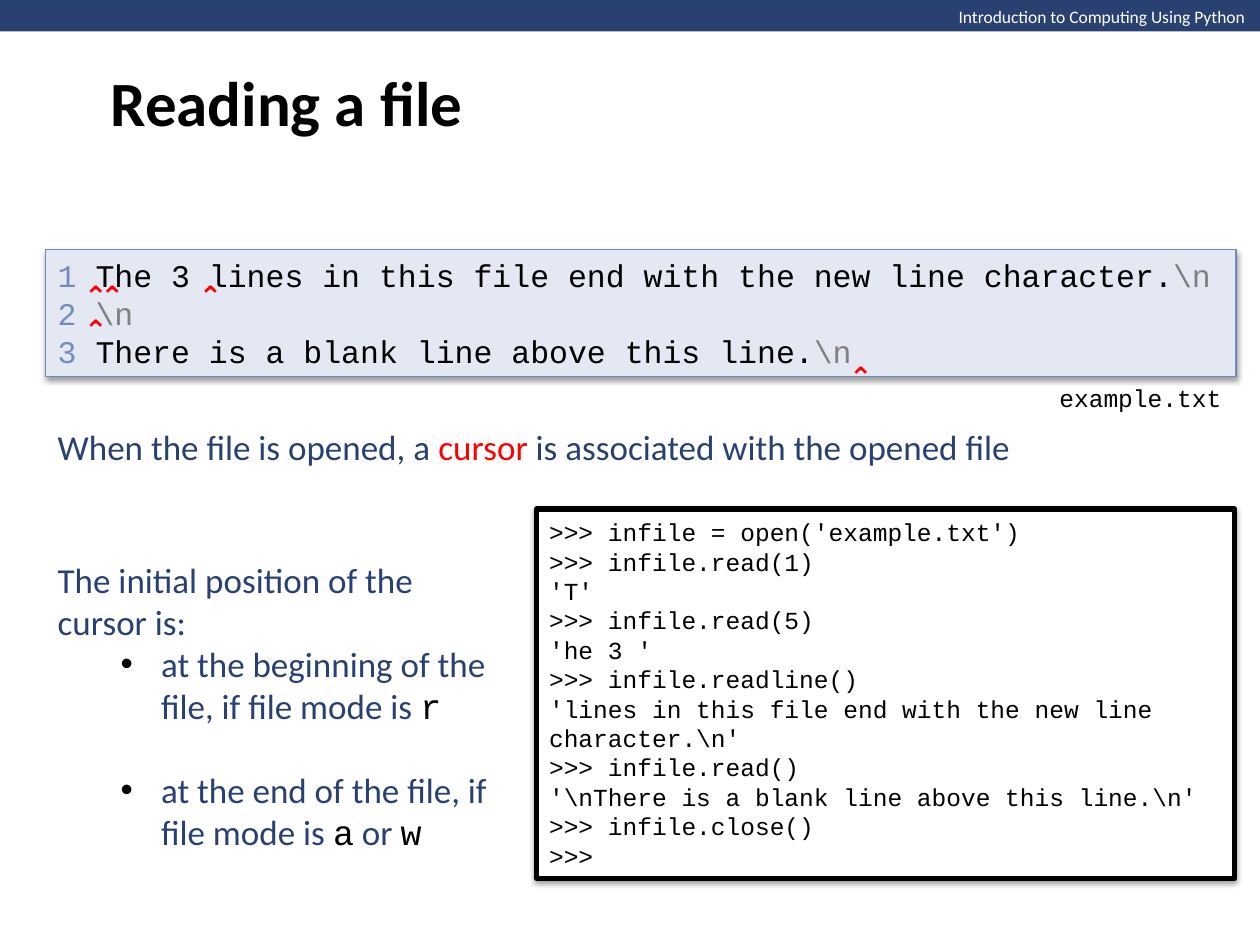
from dataclasses import dataclass

from lxml.etree import SubElement
from pptx import Presentation
from pptx.dml.color import RGBColor
from pptx.enum.shapes import MSO_SHAPE
from pptx.enum.text import MSO_ANCHOR, PP_ALIGN
from pptx.oxml.ns import qn
from pptx.util import Inches, Pt


@dataclass(frozen=True)
class Theme:
    navy: str = "294171"
    pale: str = "E3E8F2"
    edge: str = "7088BA"
    line_number: str = "748CBC"
    gray: str = "808080"
    red: str = "FF0000"
    black: str = "000000"
    white: str = "FFFFFF"
    sans: str = "Calibri"
    mono: str = "Courier New"
    symbol: str = "Open Sans"
    title: int = 36
    body: int = 20
    listing: int = 18
    caret: int = 16
    code: int = 14
    header: int = 10


class SlideBuilder:
    """Places elements on a grid of 100 columns by 75 rows."""

    COLUMNS, ROWS = 100, 75

    def __init__(self, presentation, theme):
        self.theme = theme
        self.column = presentation.slide_width / self.COLUMNS
        self.row = presentation.slide_height / self.ROWS
        self.slide = presentation.slides.add_slide(presentation.slide_layouts[6])

    def area(self, left, top, width, height):
        return (round(left * self.column), round(top * self.row),
                round(width * self.column), round(height * self.row))

    def box(self, area, fill, line=None, line_width=0):
        rectangle = self.slide.shapes.add_shape(MSO_SHAPE.RECTANGLE, *self.area(*area))
        rectangle.shadow.inherit = False
        rectangle.fill.solid()
        rectangle.fill.fore_color.rgb = RGBColor.from_string(fill)
        if line:
            rectangle.line.color.rgb = RGBColor.from_string(line)
            rectangle.line.width = Pt(line_width)
        else:
            rectangle.line.fill.background()
        return rectangle

    def panel(self, area, fill, line, line_width, paragraphs, size):
        """Add a shadowed box of monospaced text."""
        panel = self.box(area, fill, line, line_width)
        effects = panel.element.spPr.find(qn("a:effectLst"))
        shadow = SubElement(effects, qn("a:outerShdw"), blurRad=str(Pt(3.1)),
                            dist=str(Pt(1.6)), dir="5400000", rotWithShape="0")
        color = SubElement(shadow, qn("a:srgbClr"), val=self.theme.black)
        SubElement(color, qn("a:alpha"), val="38000")
        self.set_text(panel.text_frame, paragraphs, self.theme.mono, size, self.theme.black)

    def text(self, area, paragraphs, font, size, color, bold=False, wrap=True,
             anchor=MSO_ANCHOR.MIDDLE):
        frame = self.slide.shapes.add_textbox(*self.area(*area)).text_frame
        self.set_text(frame, paragraphs, font, size, color, bold, wrap, anchor)
        return frame

    def set_text(self, frame, paragraphs, font, size, color, bold=False, wrap=True,
                 anchor=MSO_ANCHOR.MIDDLE):
        """Fill a frame; each paragraph is a list of (text, font and colour changes)."""
        frame.word_wrap = wrap
        frame.vertical_anchor = anchor
        frame.text = "\n".join("" for _ in paragraphs)
        for paragraph, pieces in zip(frame.paragraphs, paragraphs):
            paragraph.alignment = PP_ALIGN.LEFT
            for wording, changes in pieces:
                run = paragraph.add_run()
                run.text = wording
                run.font.name = changes.get("font", font)
                run.font.size = Pt(size)
                run.font.bold = bold
                run.font.color.rgb = RGBColor.from_string(changes.get("color", color))

    def bullet(self, paragraph):
        properties = paragraph._p.get_or_add_pPr()
        properties.set("lvl", "1")
        properties.set("marL", str(Inches(0.82)))
        properties.set("indent", str(Inches(-0.32)))
        bullet_color = SubElement(properties, qn("a:buClr"))
        SubElement(bullet_color, qn("a:srgbClr"), val=self.theme.black)
        SubElement(properties, qn("a:buFont"), typeface="Arial")
        SubElement(properties, qn("a:buChar"), char="•")


def plain(*lines):
    return [[(line, {})] for line in lines]


def main():
    presentation = Presentation()
    presentation.slide_width, presentation.slide_height = Inches(10), Inches(7.5)
    theme = Theme()
    builder = SlideBuilder(presentation, theme)

    builder.box((0, 0, 100, 2.5), theme.navy)
    builder.text((75.1, 0, 25, 2.7), plain("Introduction to Computing Using Python"),
                 theme.sans, theme.header, theme.white, wrap=False, anchor=MSO_ANCHOR.TOP)
    builder.text((7.8, 0, 85, 16.1), plain("Reading a file"),
                 theme.sans, theme.title, theme.black, bold=True)

    number, newline = {"color": theme.line_number}, (r"\n", {"color": theme.gray})
    file_lines = ["The 3 lines in this file end with the new line character.", "",
                  "There is a blank line above this line."]
    listing = [[(f"{index} ", number), (line, {}), newline] if line
               else [(f"{index} ", number), newline]
               for index, line in enumerate(file_lines, 1)]
    builder.panel((3.6, 19.8, 94.5, 10.1), theme.pale, theme.edge, 0.75,
                  listing, theme.listing)

    cursor_positions = [(5.7, 21.6), (7, 21.6), (14.8, 21.6), (5.7, 24.3), (66.4, 28)]
    for left, top in cursor_positions:
        builder.text((left, top, 4.1, 3.7), plain("⌃"), theme.symbol, theme.caret,
                     theme.red, bold=True, wrap=False)

    session = plain(
        ">>> infile = open('example.txt')",
        ">>> infile.read(1)",
        "'T'",
        ">>> infile.read(5)",
        "'he 3 '",
        ">>> infile.readline()",
        r"'lines in this file end with the new line character.\n'",
        ">>> infile.read()",
        r"'\nThere is a blank line above this line.\n'",
        ">>> infile.close()",
        ">>>",
    )
    builder.panel((42.6, 40.4, 55.4, 29.3), theme.white, theme.black, 3,
                  session, theme.code)
    builder.text((83.1, 29.9, 15, 3.4), plain("example.txt"), theme.mono, theme.code,
                 theme.black, wrap=False)

    opening = [[("When the file is opened, a ", {}), ("cursor ", {"color": theme.red}),
                ("is associated with the opened file", {})]]
    builder.text((3.6, 33.2, 94.5, 4.4), opening, theme.sans, theme.body, theme.navy)

    mode = {"font": theme.mono, "color": theme.black}
    positions = [
        [("The initial position of the cursor is:", {})],
        [("at the beginning of the file, if file mode is ", {}), ("r", mode)],
        [("at the end of the file, if file mode is ", {}), ("a", mode),
         (" or ", {}), ("w", mode)],
    ]
    initial = builder.text((3.6, 43.7, 36.3, 24.6), positions,
                           theme.sans, theme.body, theme.navy)
    _, beginning, end = initial.paragraphs
    end.space_before = Pt(24)
    for paragraph in (beginning, end):
        builder.bullet(paragraph)

    presentation.save("out.pptx")


if __name__ == "__main__":
    main()
